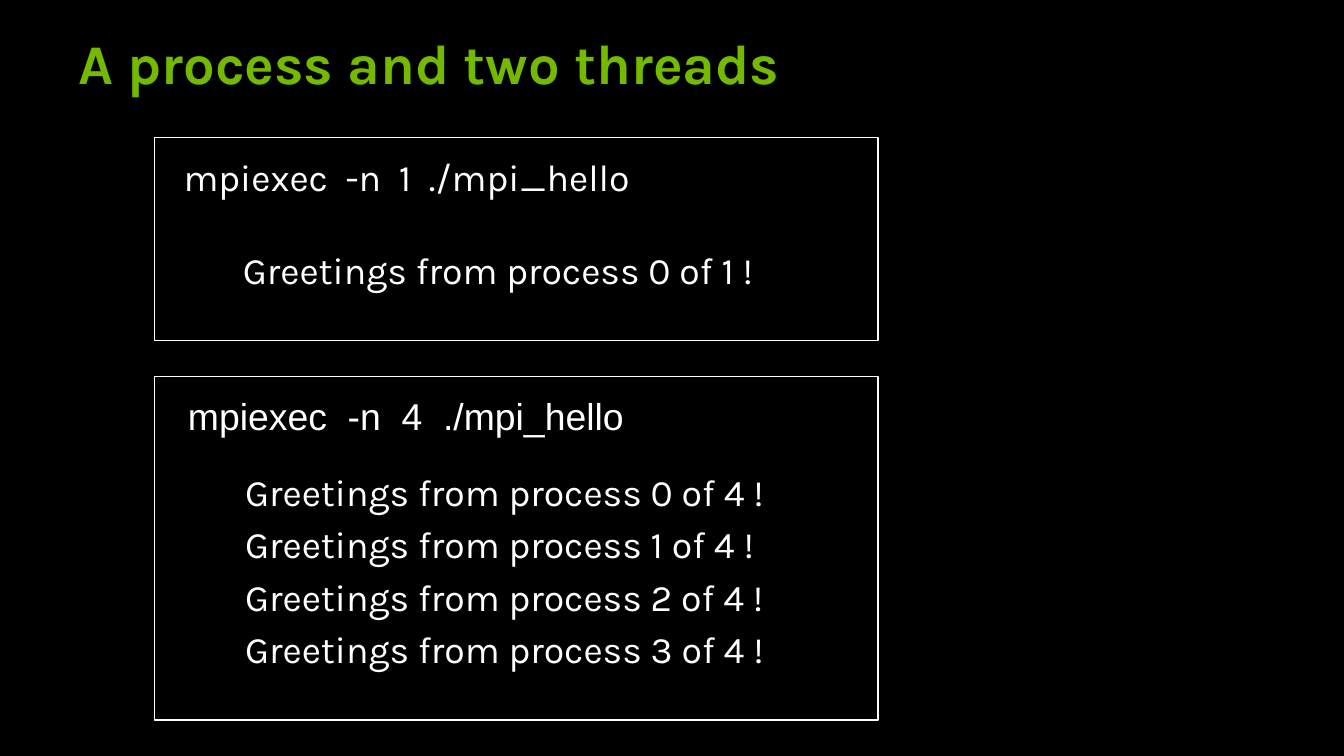
import pptx
import pptx.util
import pptx.dml.color
import pptx.enum.shapes
import pptx.enum.text
import pptx.oxml
from dataclasses import dataclass
from lxml import etree


@dataclass(frozen=True)
class Theme:
    back: str = "000000"
    title: str = "73B900"
    ink: str = "FFFFFF"
    font: str = "Karla"
    alt_font: str = "Arial"
    title_size: int = 36
    body_size: int = 24
    line_width: float = 0.75


class Deck:
    """Holds the theme and the current slide; lengths are grid columns and rows."""

    COLS, ROWS = 24, 27

    def __init__(self, theme, width, height):
        self.theme = theme
        self.prs = pptx.Presentation()
        self.prs.slide_width = pptx.util.Inches(width)
        self.prs.slide_height = pptx.util.Inches(height)

    def new_slide(self):
        self.s = self.prs.slides.add_slide(self.prs.slide_layouts[6])
        fill = self.s.background.fill
        fill.solid()
        fill.fore_color.rgb = self.color(self.theme.back)

    def color(self, value):
        return pptx.dml.color.RGBColor.from_string(value)

    def box(self, col, row, cols, rows):
        cw = self.prs.slide_width / self.COLS
        rh = self.prs.slide_height / self.ROWS
        return [round(v) for v in (col * cw, row * rh, cols * cw, rows * rh)]

    def text_frame(self, place):
        tf = self.s.shapes.add_textbox(*self.box(*place)).text_frame
        tf.word_wrap = True
        tf.auto_size = pptx.enum.text.MSO_AUTO_SIZE.SHAPE_TO_FIT_TEXT
        return tf

    def run(self, p, text, size, color, font, bold=False):
        r = p.add_run()
        r.text = text
        r.font.name = font
        r.font.size = pptx.util.Pt(size)
        r.font.bold = bold
        r.font.color.rgb = self.color(color)

    def title(self, place, text):
        tf = self.text_frame(place)
        tf.vertical_anchor = pptx.enum.text.MSO_ANCHOR.MIDDLE
        p = tf.paragraphs[0]
        p.line_spacing = 0.9
        self.run(p, text, self.theme.title_size, self.theme.title,
                 self.theme.font, bold=True)

    def panel(self, place):
        sp = self.s.shapes.add_shape(
            pptx.enum.shapes.MSO_SHAPE.RECTANGLE, *self.box(*place))
        sp.shadow.inherit = False
        sp.fill.background()
        sp.line.color.rgb = self.color(self.theme.ink)
        sp.line.width = pptx.util.Pt(self.theme.line_width)

    def lines(self, place, texts, font=None):
        tf = self.text_frame(place)
        for i, text in enumerate(texts):
            p = tf.add_paragraph() if i else tf.paragraphs[0]
            self.hang(p)
            self.run(p, text, self.theme.body_size, self.theme.ink,
                     font or self.theme.font)

    def hang(self, p):
        """Hanging indent, and space before as a share of the line."""
        pPr = p._p.get_or_add_pPr()
        indent = pptx.util.Inches(0.38)
        pPr.set("marL", str(indent))
        pPr.set("indent", str(-indent))
        before = etree.SubElement(pPr, pptx.oxml.ns.qn("a:spcBef"))
        etree.SubElement(before, pptx.oxml.ns.qn("a:spcPct")).set("val", "20000")


def greetings(count):
    return [f"Greetings from process {i} of {count} !" for i in range(count)]


def main():
    theme = Theme()
    deck = Deck(theme, 12, 6.75)
    deck.new_slide()
    deck.title((1.2, 1.08, 20.14, 2.6), "A process and two threads")

    # One process
    deck.panel((2.76, 4.92, 12.92, 7.24))
    deck.lines((3.08, 5.32, 10.7, 2), ["mpiexec  -n  1  ./mpi_hello"])
    deck.lines((4.14, 8.64, 12.92, 2), greetings(1))

    # Four processes
    deck.panel((2.76, 13.44, 12.92, 12.28))
    deck.lines((3.16, 13.84, 10.7, 2), ["mpiexec  -n  4  ./mpi_hello"],
               theme.alt_font)
    deck.lines((4.18, 16.56, 12.92, 7.84), greetings(4))

    deck.prs.save("out.pptx")


if __name__ == "__main__":
    main()
